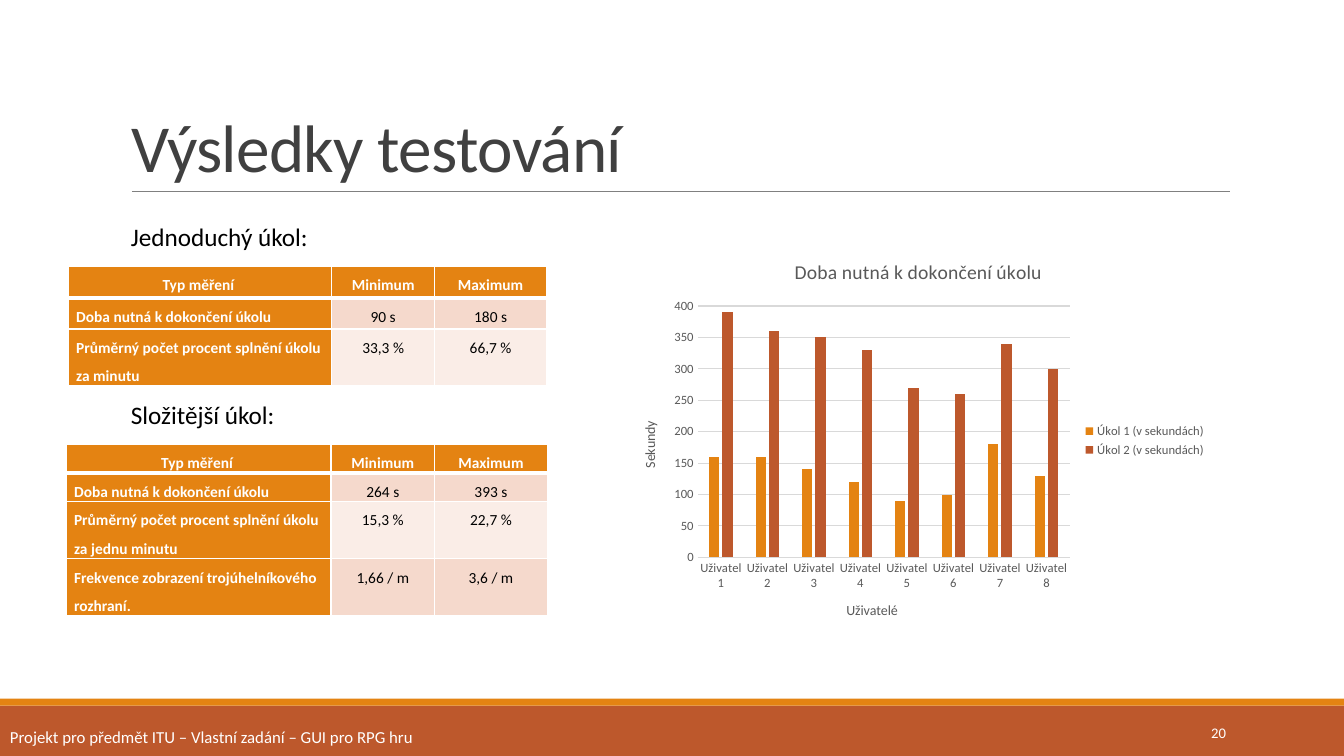
"""Build the usability test results slide with two tables and a column chart."""
from dataclasses import dataclass

from lxml import etree
from pptx import Presentation
from pptx.chart.axis import _BaseAxis
from pptx.chart.chart import Chart
from pptx.chart.data import CategoryChartData
from pptx.dml.color import RGBColor
from pptx.enum.chart import XL_CHART_TYPE, XL_LEGEND_POSITION, XL_TICK_MARK
from pptx.enum.shapes import MSO_CONNECTOR, MSO_SHAPE
from pptx.enum.text import MSO_ANCHOR, MSO_AUTO_SIZE, PP_ALIGN
from pptx.oxml.ns import qn
from pptx.slide import Slide
from pptx.table import _Cell
from pptx.text.text import Font
from pptx.util import Pt


@dataclass(frozen=True)
class Theme:
    font: str = "Calibri"
    orange: str = "E48312"
    rust: str = "BD582C"
    band_dark: str = "F5D9CC"
    band_light: str = "FAEDE7"
    white: str = "FFFFFF"
    black: str = "000000"
    heading: str = "404040"
    chart_text: str = "595959"
    grid: str = "D9D9D9"
    rule: str = "808080"
    title_size: float = 48
    label_size: float = 18
    chart_title_size: float = 14
    footer_size: float = 12
    table_size: float = 11
    number_size: float = 10.5
    axis_title_size: float = 10
    axis_size: float = 9


@dataclass(frozen=True)
class Box:
    left: float
    top: float
    width: float
    height: float

    def lengths(self) -> tuple[Pt, Pt, Pt, Pt]:
        return Pt(self.left), Pt(self.top), Pt(self.width), Pt(self.height)


@dataclass(frozen=True)
class Label:
    text: str
    box: Box
    size: float
    color: str
    align: PP_ALIGN = PP_ALIGN.LEFT
    anchor: MSO_ANCHOR = MSO_ANCHOR.TOP
    wrap: bool = True


@dataclass(frozen=True)
class Band:
    box: Box
    color: str


@dataclass(frozen=True)
class Measurements:
    left: float
    top: float
    height: float
    row_height: float
    columns: tuple[float, ...]
    rows: tuple[tuple[str, str, str], ...]


THEME = Theme()
HEADER = ("Typ měření ", "Minimum", "Maximum")
DURATION = "Doba nutná k dokončení úkolu"
BANDS = (
    Band(Box(0, 504, 960, 36), THEME.rust),
    Band(Box(0, 499, 960, 5), THEME.orange),
)
LABELS = (
    Label("Jednoduchý úkol:", Box(86.4, 154.8, 142.6, 29), THEME.label_size, THEME.black, wrap=False),
    Label("Složitější úkol:", Box(86.4, 281.6, 118, 29), THEME.label_size, THEME.black, wrap=False),
    Label("20", Box(779.8, 508.6, 103, 28.8), THEME.number_size, THEME.white,
          PP_ALIGN.RIGHT, MSO_ANCHOR.MIDDLE),
    Label("Projekt pro předmět ITU – Vlastní zadání – GUI pro RPG hru",
          Box(0, 515.5, 468.7, 21.8), THEME.footer_size, THEME.white),
)
TABLES = (
    Measurements(49, 190.4, 84.4, 22.3, (188, 73.5, 80), (
        HEADER,
        (DURATION, "90 s", "180 s"),
        ("Průměrný počet procent splnění úkolu za minutu", "33,3 %", "66,7 %"),
    )),
    Measurements(47.5, 317.6, 118.8, 0, (189, 74, 80.5), (
        HEADER,
        (DURATION, "264 s", "393 s"),
        ("Průměrný počet procent splnění úkolu za jednu minutu", "15,3 %", "22,7 %"),
        ("Frekvence zobrazení trojúhelníkového rozhraní.", "1,66 / m", "3,6 / m"),
    )),
)
TASK_TIMES = {
    "Úkol 1 (v sekundách)": (160, 160, 140, 120, 90, 100, 180, 130),
    "Úkol 2 (v sekundách)": (390, 360, 350, 330, 270, 260, 340, 300),
}


def style_font(font: Font, size: float, color: str, bold: bool = False) -> None:
    font.name, font.size, font.bold = THEME.font, Pt(size), bold
    font.color.rgb = RGBColor.from_string(color)


def add_title(slide: Slide, text: str) -> None:
    title = slide.shapes.title
    title.left, title.top, title.width, title.height = Box(86.4, 22.3, 792, 114.5).lengths()
    frame = title.text_frame
    frame.text = text
    frame.vertical_anchor = MSO_ANCHOR.BOTTOM
    frame.auto_size = MSO_AUTO_SIZE.NONE
    heading = frame.paragraphs[0]
    heading.alignment, heading.line_spacing = PP_ALIGN.LEFT, 0.85
    style_font(heading.font, THEME.title_size, THEME.heading)
    heading.runs[0].font._element.set("spc", "-50")


def add_band(slide: Slide, band: Band) -> None:
    bar = slide.shapes.add_shape(MSO_SHAPE.RECTANGLE, *band.box.lengths())
    bar.shadow.inherit = False
    bar.fill.solid()
    bar.fill.fore_color.rgb = RGBColor.from_string(band.color)
    bar.line.fill.background()


def add_title_rule(slide: Slide) -> None:
    rule = slide.shapes.add_connector(MSO_CONNECTOR.STRAIGHT, Pt(94.3), Pt(136.8), Pt(878.7), Pt(136.8))
    rule.line.color.rgb = RGBColor.from_string(THEME.rule)
    rule.line.width = Pt(0.5)
    etree.SubElement(rule._element.spPr, qn("a:effectLst"))


def add_label(slide: Slide, label: Label) -> None:
    frame = slide.shapes.add_textbox(*label.box.lengths()).text_frame
    frame.text, frame.word_wrap = label.text, label.wrap
    frame.vertical_anchor = label.anchor
    frame.paragraphs[0].alignment = label.align
    style_font(frame.paragraphs[0].font, label.size, label.color)


def add_borders(cell: _Cell, row: int) -> None:
    widths = {"L": 1, "R": 1, "T": 1, "B": 3 if row == 0 else 1}
    if row == 1:
        del widths["T"]
    properties = cell._tc.get_or_add_tcPr()
    for place, (side, width) in enumerate(widths.items()):
        border = etree.Element(qn(f"a:ln{side}"), w=str(Pt(width)))
        fill = etree.SubElement(border, qn("a:solidFill"))
        etree.SubElement(fill, qn("a:srgbClr"), val=THEME.white)
        properties.insert(place, border)


def fill_cell(cell: _Cell, text: str, row: int, column: int) -> None:
    emphasized = row == 0 or column == 0
    band = THEME.band_dark if row % 2 else THEME.band_light
    cell.text = text
    cell.margin_left = cell.margin_right = Pt(5.4)
    cell.margin_top = cell.margin_bottom = 0
    cell.fill.solid()
    cell.fill.fore_color.rgb = RGBColor.from_string(THEME.orange if emphasized else band)
    add_borders(cell, row)
    entry = cell.text_frame.paragraphs[0]
    entry.line_spacing = 1.5
    entry.alignment = PP_ALIGN.LEFT if row and column == 0 else PP_ALIGN.CENTER
    style_font(entry.font, THEME.table_size, THEME.white if emphasized else THEME.black, emphasized)


def add_measurements(slide: Slide, data: Measurements) -> None:
    box = Box(data.left, data.top, sum(data.columns), data.height)
    frame = slide.shapes.add_table(len(data.rows), len(data.columns), *box.lengths())
    table = frame.table
    for column, width in zip(table.columns, data.columns):
        column.width = Pt(width)
    for row, values in enumerate(data.rows):
        table.rows[row].height = Pt(data.row_height)
        for column, value in enumerate(values):
            fill_cell(table.cell(row, column), value, row, column)
    frame.height = Pt(data.height)


def style_axis(axis: _BaseAxis, title: str) -> None:
    axis.major_tick_mark = axis.minor_tick_mark = XL_TICK_MARK.NONE
    style_font(axis.tick_labels.font, THEME.axis_size, THEME.chart_text)
    frame = axis.axis_title.text_frame
    frame.text = title
    style_font(frame.paragraphs[0].font, THEME.axis_title_size, THEME.chart_text)


def style_chart(chart: Chart) -> None:
    style_font(chart.font, THEME.axis_title_size, THEME.black)
    caption = chart.chart_title.text_frame
    caption.text = "Doba nutná k dokončení úkolu"
    style_font(caption.paragraphs[0].font, THEME.chart_title_size, THEME.chart_text)
    chart.chart_title.include_in_layout = False
    chart.has_legend = True
    chart.legend.position = XL_LEGEND_POSITION.RIGHT
    chart.legend.include_in_layout = False
    style_font(chart.legend.font, THEME.axis_size, THEME.chart_text)
    users, seconds = chart.category_axis, chart.value_axis
    style_axis(users, "Uživatelé")
    style_axis(seconds, "Sekundy")
    seconds.minimum_scale, seconds.maximum_scale, seconds.major_unit = 0, 400, 50
    seconds.format.line.fill.background()
    for line in (users.format.line, seconds.major_gridlines.format.line):
        line.color.rgb = RGBColor.from_string(THEME.grid)
        line.width = Pt(0.75)
    plot = chart.plots[0]
    plot.gap_width, plot.overlap, plot.vary_by_categories = 219, -27, False
    for series, color in zip(plot.series, (THEME.orange, THEME.rust)):
        series.format.fill.solid()
        series.format.fill.fore_color.rgb = RGBColor.from_string(color)


def add_task_times(slide: Slide) -> None:
    data = CategoryChartData()
    data.categories = [f"Uživatel {number}" for number in range(1, 9)]
    for name, times in TASK_TIMES.items():
        data.add_series(name, times)
    box = Box(443.2, 172.5, 425.5, 284.4)
    style_chart(slide.shapes.add_chart(XL_CHART_TYPE.COLUMN_CLUSTERED, *box.lengths(), data).chart)


def main() -> None:
    deck = Presentation()
    deck.slide_width, deck.slide_height = Pt(960), Pt(540)
    slide = deck.slides.add_slide(deck.slide_layouts[5])
    add_title(slide, "Výsledky testování")
    for band in BANDS:
        add_band(slide, band)
    add_title_rule(slide)
    for measurements in TABLES:
        add_measurements(slide, measurements)
    add_task_times(slide)
    for label in LABELS:
        add_label(slide, label)
    deck.save("out.pptx")


if __name__ == "__main__":
    main()
